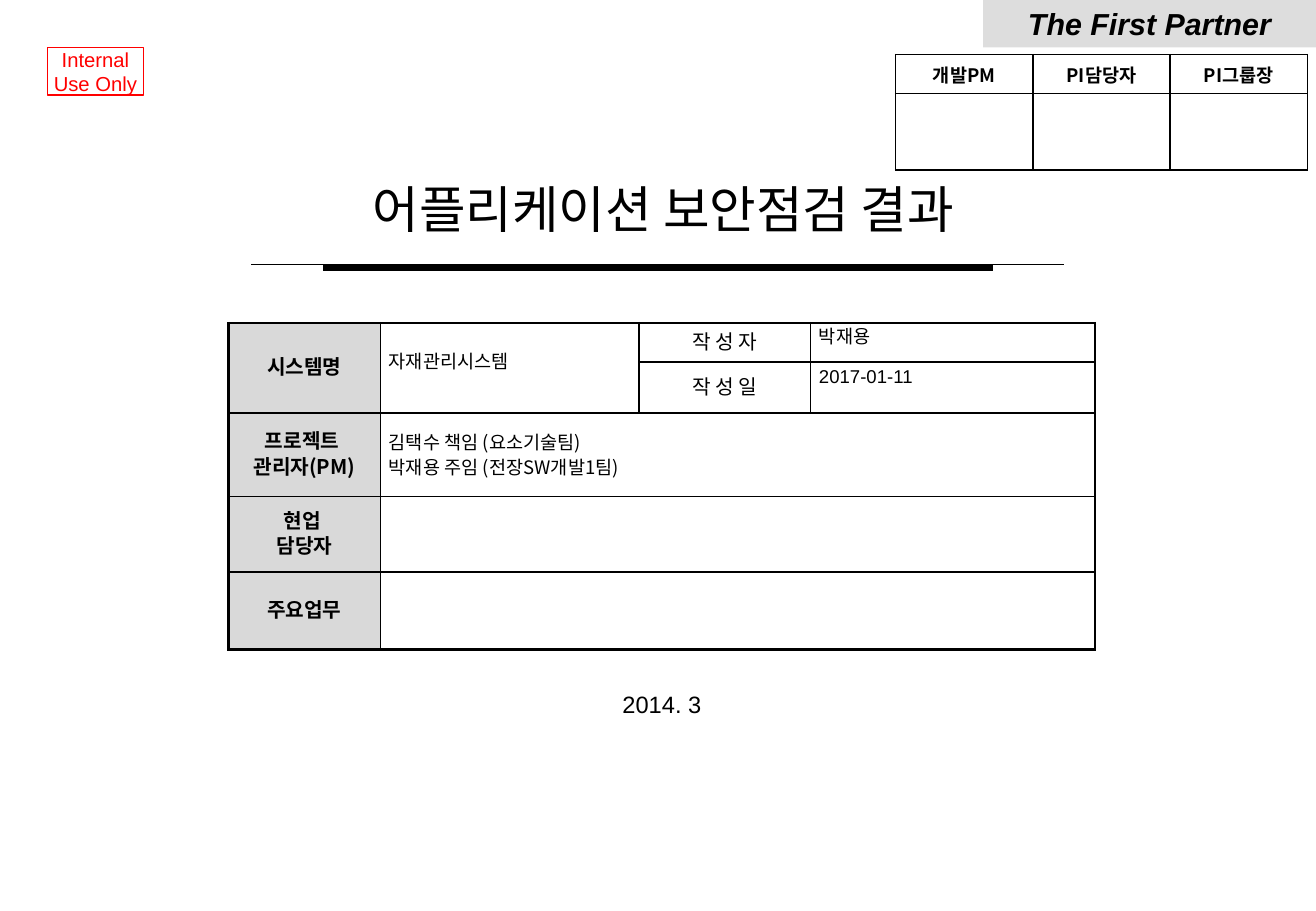
from dataclasses import dataclass
from itertools import product
from lxml.etree import SubElement
from pptx import Presentation
from pptx.dml.color import RGBColor
from pptx.enum.shapes import MSO_CONNECTOR, MSO_SHAPE
from pptx.enum.text import MSO_ANCHOR, PP_ALIGN
from pptx.oxml.ns import qn
from pptx.slide import Slide
from pptx.table import Table, _Cell
from pptx.text.text import TextFrame
from pptx.util import Inches, Pt

COLORS = {"ink": "000000", "red": "FF0000", "band": "DDDDDD", "head": "D9D9D9", "white": "FFFFFF"}
NOTO = "Noto Sans CJK KR"
PLAIN = "{2D5ABB26-0587-4C30-8999-92F81FD0307C}"
HEAD = {"size": Pt(12), "bold": True, "name": NOTO}
LABEL = {"size": Pt(12), "bold": False, "name": NOTO}
VALUE = {"size": Pt(11), "bold": False, "name": NOTO}
DATE = {**VALUE, "name": "Arial"}
SIGN = {"size": Pt(11), "bold": True, "name": NOTO}
MID, TOP = MSO_ANCHOR.MIDDLE, MSO_ANCHOR.TOP
LEFT, CENTER = PP_ALIGN.LEFT, PP_ALIGN.CENTER


@dataclass
class Box:
    at: tuple[float, float, float, float]
    lines: list[str]
    font: dict
    color: str = "ink"
    fill: str | None = None
    edge: str | None = None
    inset: float = 0.04
    wrap: bool = False


@dataclass
class Rule:
    start: float
    end: float
    top: float
    width: float


@dataclass
class Block:
    row: int
    col: int
    lines: list[str]
    font: dict
    align: PP_ALIGN = CENTER
    anchor: MSO_ANCHOR = MID
    fill: str = "white"
    rows: int = 1
    cols: int = 1
    pad: float = 0


@dataclass
class Grid:
    at: tuple[float, float]
    cols: list[float]
    rows: list[float]
    blocks: list[Block]
    edges: dict[str, float]
    inset: tuple[float, float]
    pitch: Pt | None = None


def paint(name: str) -> RGBColor:
    return RGBColor.from_string(COLORS[name])


def write(frame: TextFrame, lines: list[str], font: dict, color: str = "ink",
          align: PP_ALIGN = CENTER, pitch: Pt | None = None) -> None:
    for i, line in enumerate(lines):
        para = frame.add_paragraph() if i else frame.paragraphs[0]
        para.alignment, para.line_spacing = align, pitch
        run = para.add_run()
        run.text = line
        for key, value in font.items():
            setattr(run.font, key, value)
        run.font.color.rgb = paint(color)
        SubElement(run.font._element, qn("a:ea")).set("typeface", NOTO)


def draw_box(slide: Slide, box: Box) -> None:
    place = [Inches(n) for n in box.at]
    if box.fill or box.edge:
        shape = slide.shapes.add_shape(MSO_SHAPE.RECTANGLE, *place)
        shape.shadow.inherit = False
    else:
        shape = slide.shapes.add_textbox(*place)
    if box.fill:
        shape.fill.solid()
        shape.fill.fore_color.rgb = paint(box.fill)
    else:
        shape.fill.background()
    if box.edge:
        shape.line.color.rgb = paint(box.edge)
        shape.line.width = Pt(1)
    else:
        shape.line.fill.background()
    frame = shape.text_frame
    frame.word_wrap, frame.vertical_anchor = box.wrap, MID
    for side in ("left", "top", "right", "bottom"):
        setattr(frame, f"margin_{side}", Inches(box.inset))
    write(frame, box.lines, box.font, box.color)


def draw_rule(slide: Slide, rule: Rule) -> None:
    line = slide.shapes.add_connector(MSO_CONNECTOR.STRAIGHT, Inches(rule.start), Inches(rule.top),
                                      Inches(rule.end), Inches(rule.top))
    line.line.color.rgb = paint("ink")
    line.line.width = Pt(rule.width)
    SubElement(line._element.spPr, qn("a:effectLst"))


def edge_cell(cell: _Cell, sides: dict[str, float]) -> None:
    props = cell._tc.get_or_add_tcPr()
    for side, width in sides.items():
        line = SubElement(props, qn(f"a:ln{side}"), w=str(Pt(width)))
        fill = SubElement(line, qn("a:solidFill"))
        SubElement(fill, qn("a:srgbClr"), val=COLORS["ink"])


def fill_block(table: Table, grid: Grid, block: Block) -> None:
    last, end = block.row + block.rows, block.col + block.cols
    for row, col in product(range(block.row, last), range(block.col, end)):
        first = (row, col) == (block.row, block.col)
        tests = {"L": (col == block.col, col == 0),
                 "R": (first or col == end - 1, end == len(grid.cols)),
                 "T": (row == block.row, row == 0),
                 "B": (first or row == last - 1, last == len(grid.rows))}
        edge_cell(table.cell(row, col), {side: grid.edges[side] if outer else 1
                                         for side, (shown, outer) in tests.items() if shown})
    cell = table.cell(block.row, block.col)
    if block.rows * block.cols > 1:
        cell.merge(table.cell(last - 1, end - 1))
    cell.fill.solid()
    cell.fill.fore_color.rgb = paint(block.fill)
    across, down = grid.inset
    margins = {"margin_left": across, "margin_right": across,
               "margin_top": down + block.pad, "margin_bottom": down}
    for key, value in margins.items():
        setattr(cell, key, Inches(value))
    cell.vertical_anchor = block.anchor
    write(cell.text_frame, block.lines, block.font, align=block.align, pitch=grid.pitch)


def draw_grid(slide: Slide, grid: Grid) -> None:
    size = [Inches(sum(grid.cols)), Inches(sum(grid.rows))]
    frame = slide.shapes.add_table(len(grid.rows), len(grid.cols), *map(Inches, grid.at), *size)
    table = frame.table
    table.first_row = table.horz_banding = False
    table._tbl.tblPr.find(qn("a:tableStyleId")).text = PLAIN
    for col, width in zip(table.columns, grid.cols):
        col.width = Inches(width)
    for row, height in zip(table.rows, grid.rows):
        row.height = Inches(height)
    for block in grid.blocks:
        fill_block(table, grid, block)


BOXES = [
    Box((8.09, 0, 2.74, 0.39), ["The First Partner"],
        {"size": Pt(18), "bold": True, "italic": True, "name": "Arial"}, fill="band"),
    Box((0.39, 0.39, 0.79, 0.39), ["Internal", "Use Only"],
        {"size": Pt(12), "name": "Arial"}, color="red", edge="red"),
    Box((1.72, 1.24, 7.48, 0.95), ["어플리케이션 보안점검 결과"],
        {"size": Pt(30), "name": NOTO}, wrap=True),
    Box((4.61, 5.56, 1.73, 0.48), ["2014. 3 "], {"size": Pt(14), "name": "Arial"}, wrap=True),
]
RULES = [Rule(2.07, 8.76, 2.18, 0.75), Rule(2.66, 8.17, 2.2, 4)]
INFO = [
    Block(0, 0, ["시스템명"], HEAD, fill="head", rows=2),
    Block(0, 1, ["자재관리시스템"], VALUE, LEFT, TOP, rows=2, pad=0.21),
    Block(0, 2, ["작 성 자"], LABEL),
    Block(0, 3, ["박재용"], DATE, LEFT, TOP),
    Block(1, 2, ["작 성 일"], LABEL),
    Block(1, 3, ["2017-01-11"], DATE, LEFT, TOP),
    Block(2, 0, ["프로젝트 ", "관리자(PM)"], HEAD, fill="head"),
    Block(2, 1, ["김택수 책임 (요소기술팀)", "박재용 주임 (전장SW개발1팀)"], VALUE, LEFT, cols=3),
    Block(3, 0, ["현업 ", "담당자"], HEAD, fill="head"),
    Block(3, 1, [], VALUE, cols=3),
    Block(4, 0, ["주요업무"], HEAD, fill="head"),
    Block(4, 1, [], VALUE, cols=3),
]
ROLES = ["개발PM", "PI담당자", "PI그룹장"]
SIGNS = [Block(row, col, [role] if row == 0 else [], SIGN, anchor=TOP)
         for row in range(2) for col, role in enumerate(ROLES)]
GRIDS = [
    Grid((1.88, 2.66), [1.25, 2.13, 1.41, 2.34], [0.32, 0.42, 0.69, 0.62, 0.64], INFO,
         {"L": 1.5, "T": 1.5, "R": 1.5, "B": 2.25}, (0.07, 0), Pt(15)),
    Grid((7.37, 0.45), [1.13] * 3, [0.32, 0.63], SIGNS, dict.fromkeys("LTRB", 1), (0.1, 0.05)),
]


def main() -> None:
    deck = Presentation()
    deck.slide_width, deck.slide_height = Inches(10.83), Inches(7.5)
    slide = deck.slides.add_slide(deck.slide_layouts[6])
    for box in BOXES:
        draw_box(slide, box)
    for rule in RULES:
        draw_rule(slide, rule)
    for grid in GRIDS:
        draw_grid(slide, grid)
    deck.save("out.pptx")


if __name__ == "__main__":
    main()
